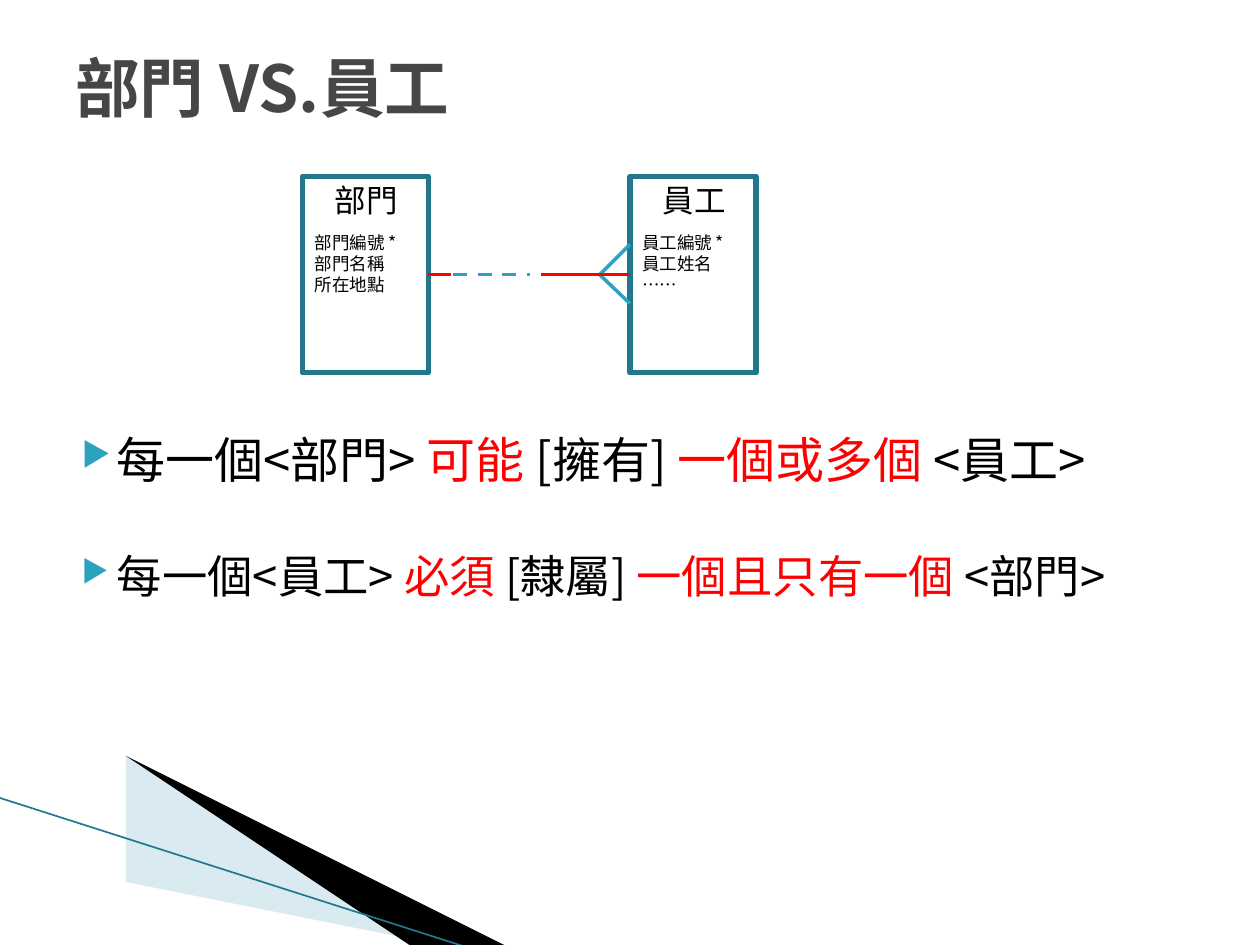
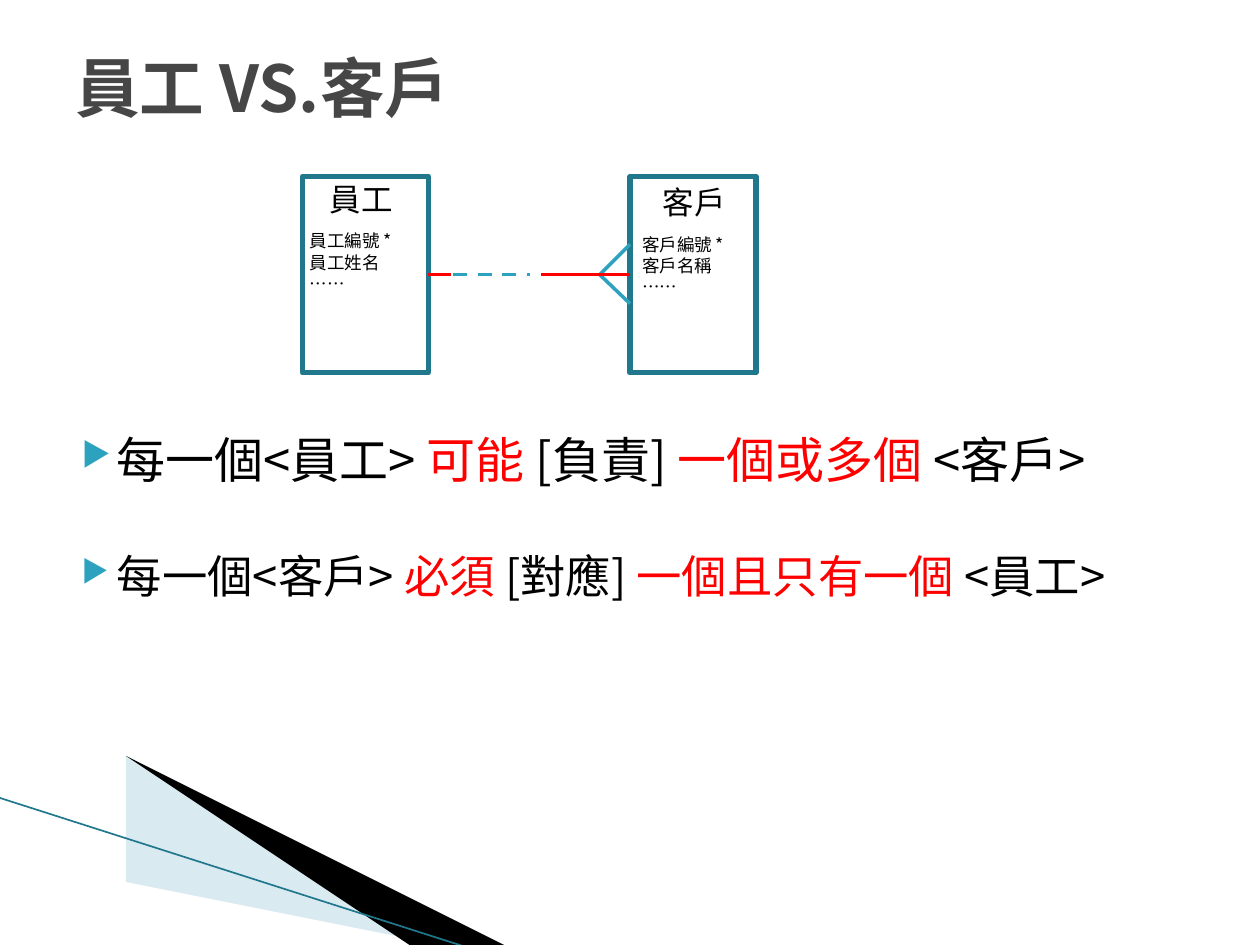
from dataclasses import dataclass

from lxml.etree import SubElement
from pptx import Presentation
from pptx.dml.color import RGBColor
from pptx.enum.dml import MSO_LINE
from pptx.enum.shapes import MSO_CONNECTOR as Connector, MSO_SHAPE as Preset
from pptx.enum.text import MSO_ANCHOR as Anchor, MSO_AUTO_SIZE as AutoSize
from pptx.oxml.ns import qn
from pptx.util import Inches, Pt

FONT = "Noto Sans CJK SC"
COLORS = {
    "text": "000000",
    "title": "464646",
    "accent": "2DA2BF",
    "border": "21788D",
    "emphasis": "FF0000",
    "pale": "A0CBDC",
}
BOX_TOP, BOX_WIDTH, BOX_HEIGHT = 1.4, 1, 1.56
LEFT_BOX, RIGHT_BOX = 2.4, 5
LINK_Y, FORK_X = 2.18, 4.76

Point = tuple[float, float]


@dataclass
class Entity:
    """An entity box; name_at and fields_at place its two labels."""
    name: str
    fields: list[str]
    name_at: Point
    fields_at: Point


@dataclass
class Rule:
    """A sentence that reads the relationship in one direction."""
    subject: str
    modality: str
    verb: str
    cardinality: str
    target: str


@dataclass
class Relationship:
    """The content of one slide."""
    left: Entity
    right: Entity
    forward: Rule
    backward: Rule


def color(name: str) -> RGBColor:
    """Look up a palette colour."""
    return RGBColor.from_string(COLORS[name])


def add_run(paragraph, text: str, size: float, shade: str = "text", bold: bool = False) -> None:
    """Append a formatted run, for Latin and East Asian text alike."""
    run = paragraph.add_run()
    run.text = text
    run.font.name = FONT
    run.font.size = Pt(size)
    run.font.bold = bold
    run.font.color.rgb = color(shade)
    SubElement(run.font._element, qn("a:ea"), typeface=FONT)


def add_text_frame(shapes, left: float, top: float, width: float, height: float):
    """Add a wrapping text box and return its frame."""
    box = shapes.add_textbox(Inches(left), Inches(top), Inches(width), Inches(height))
    box.text_frame.word_wrap = True
    return box.text_frame


def add_label(shapes, lines: list[str], at: Point, width: float, height: float, size: float) -> None:
    """Add a label that does not wrap, one paragraph a line."""
    frame = add_text_frame(shapes, *at, width, height)
    frame.word_wrap = False
    frame.auto_size = AutoSize.SHAPE_TO_FIT_TEXT
    for index, line in enumerate(lines):
        paragraph = frame.add_paragraph() if index else frame.paragraphs[0]
        add_run(paragraph, line, size)


def add_line(shapes, start: Point, end: Point, shade: str, width: float = 2, dashed: bool = False) -> None:
    """Add a straight line without a shadow."""
    line = shapes.add_connector(Connector.STRAIGHT, *map(Inches, start + end))
    line.line.color.rgb = color(shade)
    line.line.width = Pt(width)
    if dashed:
        line.line.dash_style = MSO_LINE.DASH
    SubElement(line._element.spPr, qn("a:effectLst"))


def add_wedge(shapes, points: list[Point], shade: str, opacity: int = 100) -> None:
    """Add a filled outline without a border."""
    builder = shapes.build_freeform(*points[0], scale=Inches(1))
    builder.add_line_segments(points[1:], close=True)
    wedge = builder.convert_to_shape()
    wedge.shadow.inherit = False
    wedge.line.fill.background()
    wedge.fill.solid()
    wedge.fill.fore_color.rgb = color(shade)
    if opacity < 100:
        fill_color = wedge._element.spPr.find(".//" + qn("a:srgbClr"))
        SubElement(fill_color, qn("a:alpha"), val=str(opacity * 1000))


def add_background(shapes) -> None:
    """Draw the wedges in the bottom left corner."""
    add_wedge(shapes, [(0.55, 6.51), (5.95, 7.51), (4.56, 7.51), (0.55, 6.5)], "pale", 40)
    add_wedge(shapes, [(0.53, 6.49), (4.57, 7.51), (3.72, 7.52), (0.54, 6.5)], "text")
    add_line(shapes, (-0.01, 6.33), (3.71, 7.52), "border", 0.95)


def add_title(shapes, text: str) -> None:
    """Add the slide title."""
    frame = add_text_frame(shapes, 0.5, 0.3, 9, 0.77)
    frame.vertical_anchor = Anchor.MIDDLE
    add_run(frame.paragraphs[0], text, 36.9, "title", bold=True)


def add_rule(shapes, rule: Rule, top: float, size: float) -> None:
    """Add a bulleted sentence with its constraints in red."""
    paragraph = add_text_frame(shapes, 0.43, top, 9, 0.71).paragraphs[0]
    paragraph.space_before = Pt(4)
    properties = paragraph._p.get_or_add_pPr()
    properties.set("marL", str(Inches(0.4)))
    properties.set("indent", str(Inches(-0.28)))
    bullet_color = SubElement(properties, qn("a:buClr"))
    SubElement(bullet_color, qn("a:srgbClr"), val=COLORS["accent"])
    SubElement(properties, qn("a:buSzPct"), val="68000")
    SubElement(properties, qn("a:buChar"), char="▶")
    add_run(paragraph, f"每一個<{rule.subject}> ", size)
    add_run(paragraph, rule.modality, size, "emphasis")
    add_run(paragraph, f" [{rule.verb}] ", size)
    add_run(paragraph, rule.cardinality, size, "emphasis")
    add_run(paragraph, f" <{rule.target}> ", size)


def add_entity(shapes, entity: Entity, left: float) -> None:
    """Draw an entity box with its name and fields."""
    box = shapes.add_shape(Preset.RECTANGLE, Inches(left), Inches(BOX_TOP),
                           Inches(BOX_WIDTH), Inches(BOX_HEIGHT))
    box.shadow.inherit = False
    box.fill.background()
    box.line.color.rgb = color("border")
    box.line.width = Pt(3)
    add_label(shapes, [entity.name], entity.name_at, 0.71, 0.4, 18)
    add_label(shapes, entity.fields, entity.fields_at, 0.9, 0.61, 10)


def add_link(shapes) -> None:
    """Draw the optional-to-mandatory link with its crow's foot."""
    start = (LEFT_BOX + BOX_WIDTH, LINK_Y)
    end = (RIGHT_BOX, LINK_Y)
    add_line(shapes, start, (4.21, LINK_Y), "accent", dashed=True)
    crow_foot = shapes.add_group_shape()
    for toe_y in (1.94, 2.41, LINK_Y):
        add_line(crow_foot.shapes, (FORK_X, LINK_Y), (RIGHT_BOX, toe_y), "accent")
    add_line(shapes, end, (4.29, LINK_Y), "emphasis")
    add_line(shapes, start, (3.58, LINK_Y), "emphasis")


def add_relationship_slide(presentation, relationship: Relationship) -> None:
    """Build one slide for a relationship."""
    shapes = presentation.slides.add_slide(presentation.slide_layouts[6]).shapes
    left, right = relationship.left, relationship.right
    add_background(shapes)
    add_rule(shapes, relationship.forward, 3.36, 28)
    add_title(shapes, f"{left.name} VS.{right.name}")
    add_entity(shapes, left, LEFT_BOX)
    add_entity(shapes, right, RIGHT_BOX)
    add_rule(shapes, relationship.backward, 4.3, 25.9)
    add_link(shapes)


MAY, MUST = "可能", "必須"
MANY, ONE = "一個或多個", "一個且只有一個"
STAFF_FIELDS = ["員工編號 *", "員工姓名", "……"]

RELATIONSHIPS = [
    Relationship(
        Entity("部門", ["部門編號 *", "部門名稱", "所在地點"], (2.56, 1.39), (2.4, 1.79)),
        Entity("員工", STAFF_FIELDS, (5.16, 1.39), (5, 1.79)),
        Rule("部門", MAY, "擁有", MANY, "員工"),
        Rule("員工", MUST, "隸屬", ONE, "部門"),
    ),
    Relationship(
        Entity("員工", STAFF_FIELDS, (2.52, 1.38), (2.36, 1.78)),
        Entity("客戶", ["客戶編號 *", "客戶名稱", "……"], (5.16, 1.4), (5, 1.81)),
        Rule("員工", MAY, "負責", MANY, "客戶"),
        Rule("客戶", MUST, "對應", ONE, "員工"),
    ),
]


def main() -> None:
    """Build and save the presentation."""
    presentation = Presentation()
    presentation.slide_width = Inches(10)
    presentation.slide_height = Inches(7.5)
    for relationship in RELATIONSHIPS:
        add_relationship_slide(presentation, relationship)
    presentation.save("out.pptx")


main()
